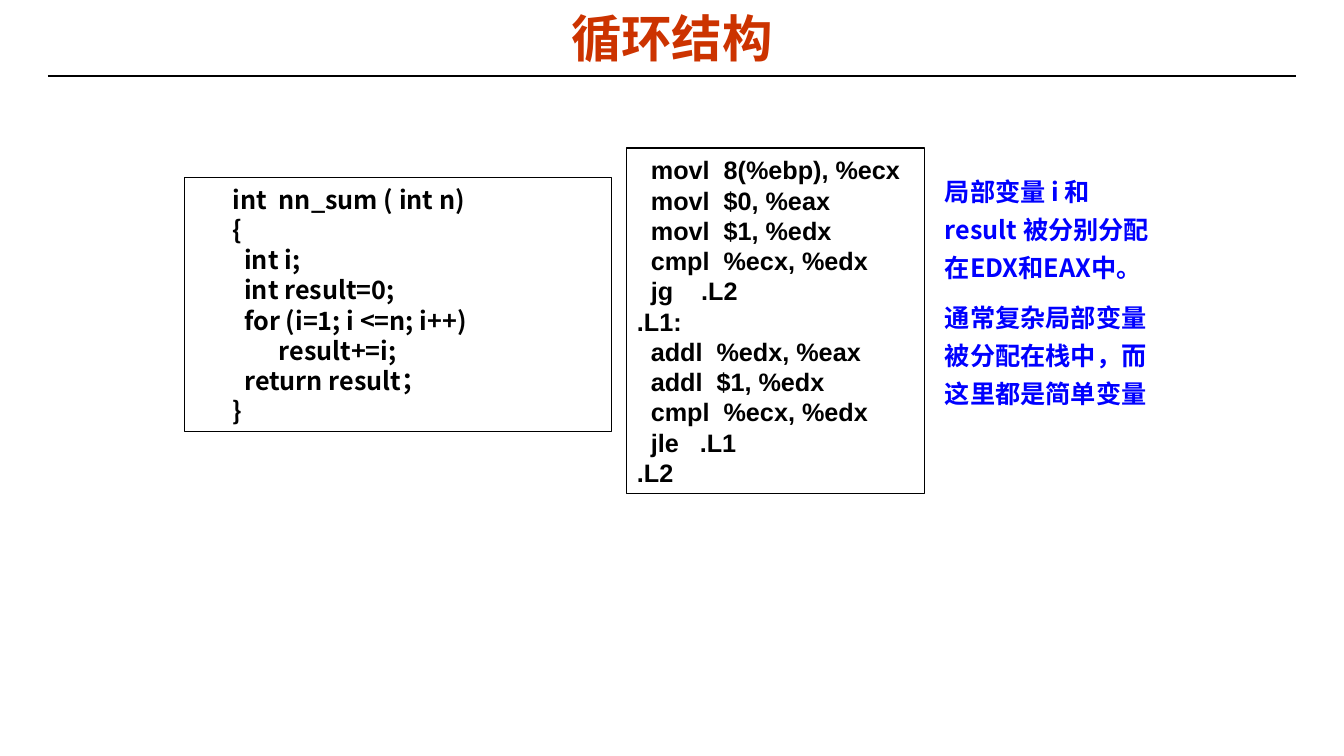
from lxml import etree
from pptx import Presentation
from pptx.dml.color import RGBColor
from pptx.enum.shapes import MSO_CONNECTOR, MSO_SHAPE
from pptx.enum.text import MSO_ANCHOR, PP_ALIGN
from pptx.oxml.ns import qn
from pptx.util import Emu, Pt

PX = 914400 / 100.8
TITLE_ONLY = 5
STRAIGHT = MSO_CONNECTOR.STRAIGHT
RECTANGLE = MSO_SHAPE.RECTANGLE
TOP, MIDDLE = MSO_ANCHOR.TOP, MSO_ANCHOR.MIDDLE
LEFT, CENTER = PP_ALIGN.LEFT, PP_ALIGN.CENTER

BLACK = RGBColor(0x00, 0x00, 0x00)
RED = RGBColor(0xCC, 0x33, 0x00)
BLUE = RGBColor(0x00, 0x00, 0xFF)
ARIAL = "Arial"
NOTO = "Noto Sans CJK SC"

C_CODE = [
    "int  nn_sum ( int n)",
    "{",
    "\tint i;",
    "\tint result=0;",
    "\tfor (i=1; i <=n; i++)",
    "\t      result+=i;",
    "\treturn result；",
    "}",
]
ASSEMBLY = [
    "  movl  8(%ebp), %ecx",
    "  movl  $0, %eax",
    "  movl  $1, %edx",
    "  cmpl  %ecx, %edx",
    "  jg    .L2",
    ".L1:",
    "  addl  %edx, %eax",
    "  addl  $1, %edx",
    "  cmpl  %ecx, %edx",
    "  jle   .L1",
    ".L2",
]
NOTES = [
    "局部变量 i 和 result 被分别分配在EDX和EAX中。",
    "通常复杂局部变量被分配在栈中，而这里都是简单变量",
]


def px(n):
    return Emu(round(n * PX))


class SlideBuilder:
    def __init__(self, prs):
        self.slide = prs.slides.add_slide(prs.slide_layouts[TITLE_ONLY])
        self.shapes = self.slide.shapes

    def style(self, p, font, size, color, align=LEFT):
        p.alignment = align
        for r in p.runs:
            r.font.name, r.font.size = font, Pt(size)
            r.font.bold, r.font.color.rgb = True, color
            ea = etree.SubElement(r.font._element, qn("a:ea"))
            ea.set("typeface", NOTO)

    def set_lines(self, tf, lines, font, color, pitch, gap=0):
        """Fill the frame with one paragraph per line, pitch points apart."""
        for i, line in enumerate(lines):
            p = tf.paragraphs[0] if i == 0 else tf.add_paragraph()
            p.text = line
            p.line_spacing = Pt(pitch)
            p.space_before = Pt(gap if i else 0)
            self.style(p, font, 18, color)

    def title(self, text, x, y, w, h):
        sp = self.shapes.title
        sp.left, sp.top, sp.width, sp.height = map(px, (x, y, w, h))
        tf = sp.text_frame
        tf.text = text
        tf.vertical_anchor = MIDDLE
        self.style(tf.paragraphs[0], ARIAL, 36, RED, CENTER)

    def rule(self, x1, x2, y):
        line = self.shapes.add_connector(STRAIGHT, px(x1), px(y), px(x2), px(y))
        line.line.color.rgb, line.line.width = BLACK, Pt(0.75)
        etree.SubElement(line._element.spPr, qn("a:effectLst"))

    def code_box(self, lines, font, x, y, w, h, indent=0, tab=80):
        sp = self.shapes.add_shape(RECTANGLE, *map(px, (x, y, w, h)))
        sp.shadow.inherit = False
        sp.fill.background()
        sp.line.color.rgb, sp.line.width = BLACK, Pt(0.75)
        tf = sp.text_frame
        tf.word_wrap = True
        tf.vertical_anchor = MIDDLE
        self.set_lines(tf, lines, font, BLACK, 21.6)
        for p in tf.paragraphs:
            pPr = p._p.get_or_add_pPr()
            pPr.set("marL", "0")
            pPr.set("indent", str(px(indent)))
            tabs = etree.SubElement(pPr, qn("a:tabLst"))
            etree.SubElement(tabs, qn("a:tab"), pos=str(px(tab)), algn="l")

    def notes(self, lines, x, y, w, h):
        tf = self.shapes.add_textbox(*map(px, (x, y, w, h))).text_frame
        tf.word_wrap = True
        tf.vertical_anchor = TOP
        self.set_lines(tf, lines, NOTO, BLUE, 27, gap=9)


def main():
    prs = Presentation()
    prs.slide_width, prs.slide_height = px(1344), px(756)
    s = SlideBuilder(prs)
    s.rule(48, 1296, 76)
    s.title("循环结构", 218, 6, 908, 62)
    s.code_box(C_CODE, NOTO, 184, 178, 428, 254, indent=39, tab=134)
    s.code_box(ASSEMBLY, ARIAL, 627, 148, 298, 346)
    s.notes(NOTES, 935, 164, 240, 251)
    prs.save("out.pptx")


if __name__ == "__main__":
    main()
